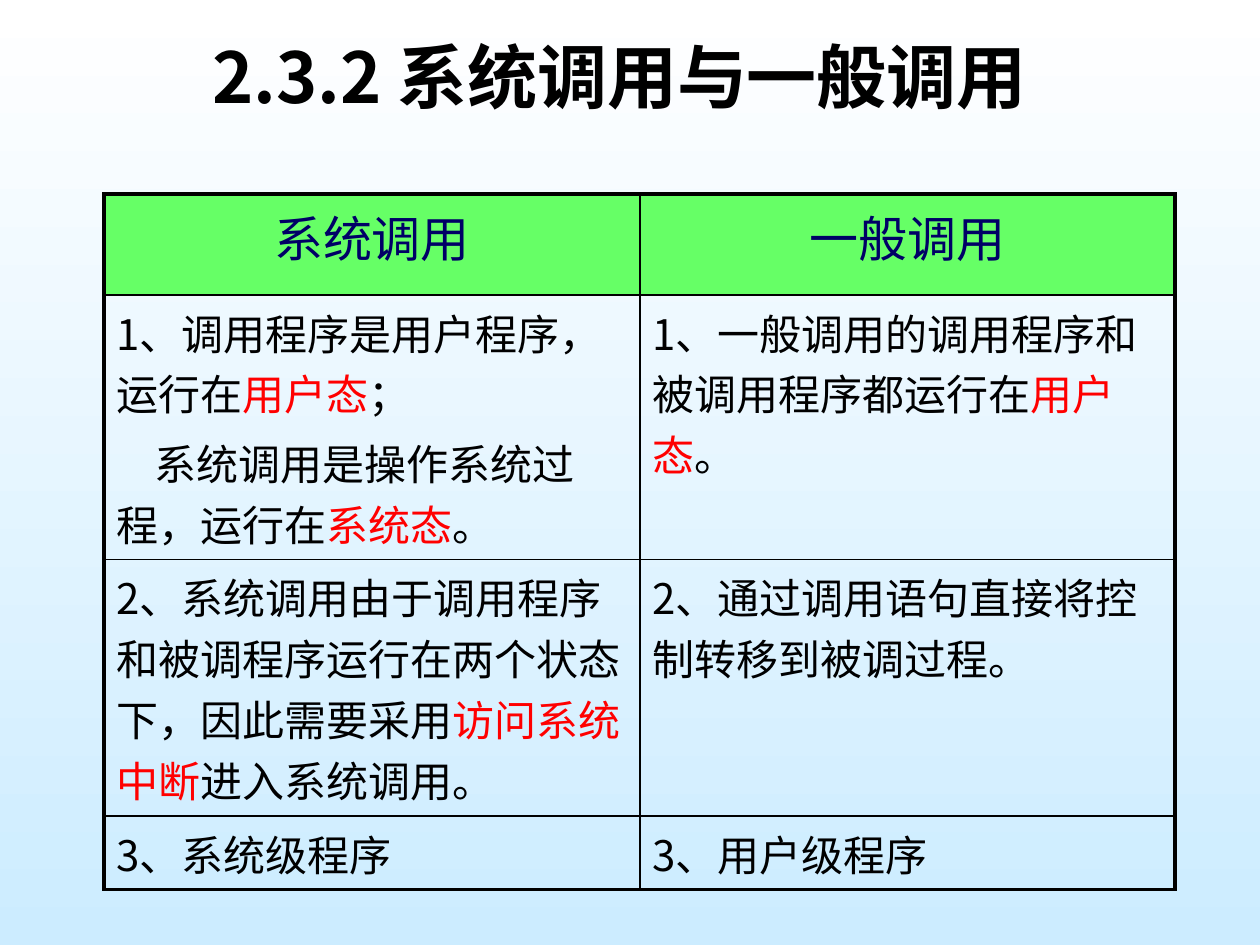
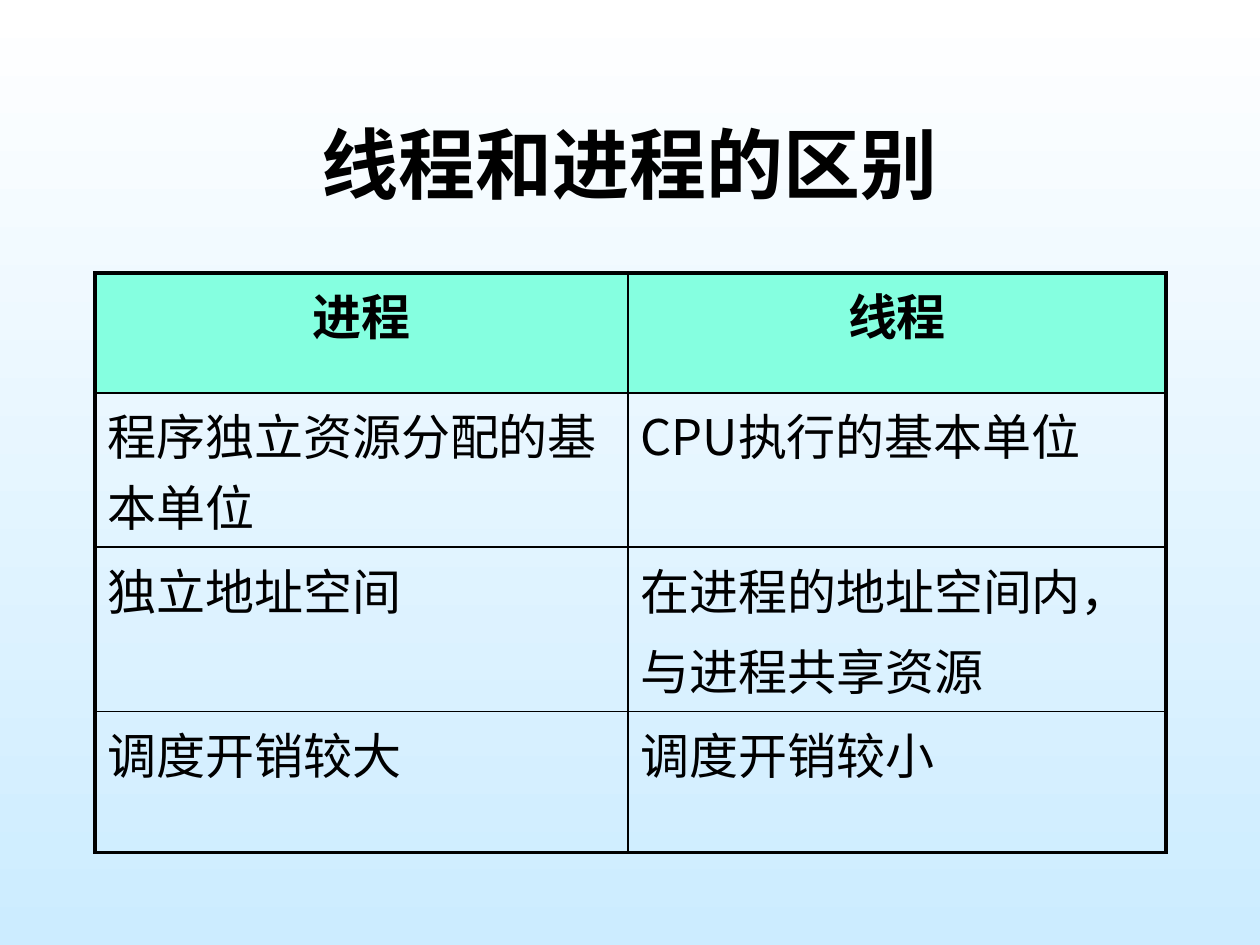
from lxml.etree import SubElement
from pptx import Presentation
from pptx.dml.color import RGBColor
from pptx.enum.text import MSO_ANCHOR, MSO_AUTO_SIZE, PP_ALIGN
from pptx.oxml import parse_xml
from pptx.oxml.ns import nsdecls, qn
from pptx.util import Emu, Pt

BLACK = RGBColor(0x00, 0x00, 0x00)
RED = RGBColor(0xFF, 0x00, 0x00)
NAVY = RGBColor(0x00, 0x00, 0x66)
GREEN = RGBColor(0x66, 0xFF, 0x66)
AQUA = RGBColor(0x85, 0xFF, 0xE0)
WHITE = RGBColor(0xFF, 0xFF, 0xFF)
SKY = RGBColor(0xCC, 0xEC, 0xFF)
FONT = "Noto Sans CJK SC"
OUTER, INNER = Pt(2.25), Pt(1)
INDENT = 38

# A cell is a list of paragraphs; *stars* enclose red words, a leading tab indents.
SLIDES = [
    dict(
        title="2.3.2 系统调用与一般调用", title_box=(84, 26, 1071, 100), title_size=40,
        origin=(104, 194), cols=(536, 535), rows=(101, 260, 236, 72),
        head_fill=GREEN, head_color=NAVY, head_bold=False, body_size=24,
        cells=[
            (["系统调用"], ["一般调用"]),
            (["1、调用程序是用户程序，运行在*用户态*；",
              "\t系统调用是操作系统过程，运行在*系统态*。"],
             ["1、一般调用的调用程序和被调用程序都运行在*用户态*。"]),
            (["2、系统调用由于调用程序和被调程序运行在两个状态下，因此需要采用*访问系统中断*进入系统调用。"],
             ["2、通过调用语句直接将控制转移到被调过程。"]),
            (["3、系统级程序"], ["3、用户级程序"]),
        ],
    ),
    dict(
        title="线程和进程的区别", title_box=(94, 84, 1071, 158), title_size=44,
        origin=(95, 273), cols=(533, 538), rows=(120, 141, 142, 141),
        head_fill=AQUA, head_color=BLACK, head_bold=True, body_size=28,
        cells=[
            (["进程"], ["线程"]),
            (["程序独立资源分配的基本单位"], ["CPU执行的基本单位"]),
            (["独立地址空间"], ["在进程的地址空间内，", "与进程共享资源"]),
            (["调度开销较大"], ["调度开销较小"]),
        ],
    ),
]


def px(n):
    return Emu(round(n * 914400 / 126))


def write(tf, paragraphs, size, color=BLACK, bold=False, align=PP_ALIGN.LEFT, before=0.0):
    """Fill a text frame; before is the space above, as a share of the text size."""
    for i, text in enumerate(paragraphs):
        p = tf.add_paragraph() if i else tf.paragraphs[0]
        p.alignment = align
        p.space_before = Pt(size * before)
        pPr = p._p.get_or_add_pPr()
        pPr.set("hangingPunct", "0")  # keeps closing marks inside the cell
        if text.startswith("\t"):
            pPr.set("indent", str(px(INDENT)))
        for j, part in enumerate(text.strip("\t").split("*")):
            r = p.add_run()
            r.text = part
            r.font.size, r.font.bold, r.font.name = Pt(size), bold, FONT
            r.font.color.rgb = RED if j % 2 else color
            SubElement(r._r.get_or_add_rPr(), qn("a:ea")).set("typeface", FONT)


def set_borders(cell, widths):
    tcPr = cell._tc.get_or_add_tcPr()
    for i, (side, width) in enumerate(zip("LRTB", widths)):
        tcPr.insert(i, parse_xml(
            f'<a:ln{side} {nsdecls("a")} w="{width}"><a:solidFill>'
            f'<a:srgbClr val="{BLACK}"/></a:solidFill></a:ln{side}>'))


def add_title(s, text, box, size):
    title = s.shapes.title
    title.left, title.top, title.width, title.height = map(px, box)
    tf = title.text_frame
    tf.auto_size = MSO_AUTO_SIZE.NONE
    tf.vertical_anchor = MSO_ANCHOR.MIDDLE
    write(tf, [text], size, bold=True, align=PP_ALIGN.CENTER)


def add_comparison(s, d):
    cols, rows = d["cols"], d["rows"]
    box = (*d["origin"], sum(cols), sum(rows))
    table = s.shapes.add_table(len(rows), len(cols), *map(px, box)).table
    table.first_row = table.horz_banding = False
    for column, width in zip(table.columns, cols):
        column.width = px(width)
    for i, (row, height) in enumerate(zip(table.rows, rows)):
        row.height = px(height)
        for j, cell in enumerate(row.cells):
            if i == 0:
                cell.fill.solid()
                cell.fill.fore_color.rgb = d["head_fill"]
                style = dict(size=28, color=d["head_color"], bold=d["head_bold"],
                             align=PP_ALIGN.CENTER)
            else:
                cell.fill.background()
                style = dict(size=d["body_size"])
            write(cell.text_frame, d["cells"][i][j], before=0.2, **style)
            on_edge = (j == 0, j == len(cols) - 1, i == 0, i == len(rows) - 1)
            set_borders(cell, [OUTER if edge else INNER for edge in on_edge])


def main():
    prs = Presentation()
    prs.slide_width, prs.slide_height = px(1260), px(945)
    fill = prs.slide_master.background.fill
    fill.gradient()
    fill.gradient_angle = 270
    for stop, color in zip(fill.gradient_stops, (WHITE, SKY)):
        stop.color.rgb = color
    for d in SLIDES:
        s = prs.slides.add_slide(prs.slide_layouts[5])
        add_title(s, d["title"], d["title_box"], d["title_size"])
        add_comparison(s, d)
    prs.save("out.pptx")


if __name__ == "__main__":
    main()
